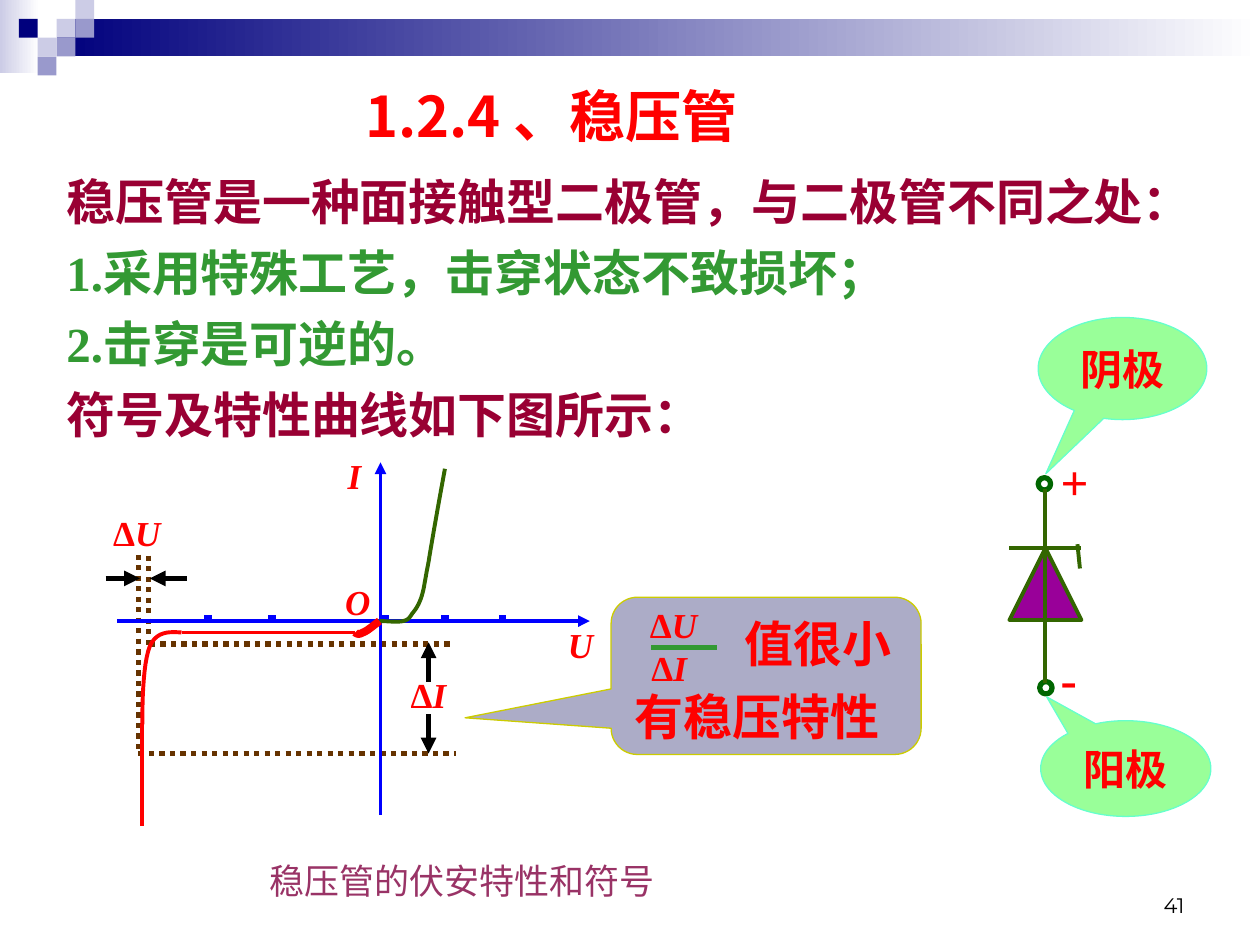
from lxml.etree import SubElement
from pptx import Presentation
from pptx.dml.color import RGBColor
from pptx.enum.dml import MSO_LINE
from pptx.enum.shapes import MSO_CONNECTOR, MSO_SHAPE
from pptx.enum.text import MSO_ANCHOR, PP_ALIGN
from pptx.oxml.ns import qn
from pptx.util import Cm, Pt

RED, MAROON, GREEN, OLIVE = "FF0000", "990033", "339933", "336600"
BLUE, BROWN, NAVY, LILAC, VIOLET = "0000FF", "663300", "00007D", "CCCCE6", "9999CC"


def paint(shape, fill=None, line=None, width=0.75):
    shape.shadow.inherit = False
    if fill:
        shape.fill.solid()
        shape.fill.fore_color.rgb = RGBColor.from_string(fill)
    else:
        shape.fill.background()
    if line:
        shape.line.color.rgb = RGBColor.from_string(line)
        shape.line.width = Pt(width)
    else:
        shape.line.fill.background()


def add_run(paragraph, text, color, **formats):
    run = paragraph.add_run()
    run.text = text
    run.font.color.rgb = RGBColor.from_string(color)
    values = {"name": "Times New Roman", "size": Pt(20), "bold": True} | formats
    for attribute, value in values.items():
        setattr(run.font, attribute, value)


presentation = Presentation()
presentation.slide_width, presentation.slide_height = Cm(25.4), Cm(19.05)
slide = presentation.slides.add_slide(presentation.slide_layouts[6])
shapes = slide.shapes

# Header: gradient bands
for left, top, width, height, color in [
    (0, 0, 0.79, 1.47, LILAC),
    (1.14, 0.38, 24.26, 0.76, NAVY),
]:
    band = shapes.add_shape(
        MSO_SHAPE.RECTANGLE, Cm(left), Cm(top), Cm(width), Cm(height))
    paint(band)
    band.fill.gradient()
    band.fill.gradient_angle = 0
    for stop, stop_color in zip(band.fill.gradient_stops, (color, "FFFFFF")):
        stop.color.rgb = RGBColor.from_string(stop_color)

# Header: squares on a grid of equal cells
cell = 0.38
for column, row, color in [
    (3, 1, LILAC), (4, 0, LILAC), (4, 1, VIOLET), (2, 2, LILAC),
    (1, 1, NAVY), (3, 2, VIOLET), (2, 3, VIOLET),
]:
    square = shapes.add_shape(
        MSO_SHAPE.RECTANGLE, Cm(column * cell), Cm(row * cell), Cm(cell), Cm(cell))
    paint(square, color)

# Callout behind the ratio
ratio_callout = shapes.add_shape(
    MSO_SHAPE.ROUNDED_RECTANGULAR_CALLOUT, Cm(12.32), Cm(12.04), Cm(6.25), Cm(3.17))
paint(ratio_callout, "666699", "CCCC00")
for index, value in enumerate((-0.971, 0.267, 0.167)):
    ratio_callout.adjustments[index] = value
fill_color = ratio_callout.element.spPr.find(qn("a:solidFill"))[0]
SubElement(fill_color, qn("a:alpha"), val="54000")

# Diode symbol: body and terminals
diode = shapes.add_shape(
    MSO_SHAPE.ISOSCELES_TRIANGLE, Cm(20.35), Cm(11.05), Cm(1.45), Cm(1.45))
paint(diode, "990099", OLIVE, 2.25)
for left, top in [(20.93, 9.63), (20.96, 13.74)]:
    terminal = shapes.add_shape(
        MSO_SHAPE.OVAL, Cm(left), Cm(top), Cm(0.25), Cm(0.25))
    paint(terminal, None, "006600", 3)

# Electrode callouts
for text, left, top, width, height, pointer in [
    ("阴极", 20.93, 6.4, 3.4, 2.06, (-0.455, 1.03)),
    ("阳极", 20.98, 14.53, 3.43, 1.93, (-0.465, -0.75)),
]:
    callout = shapes.add_shape(
        MSO_SHAPE.OVAL_CALLOUT, Cm(left), Cm(top), Cm(width), Cm(height))
    paint(callout, "99FF99", "66FFCC")
    callout.adjustments[0], callout.adjustments[1] = pointer
    callout.text_frame.vertical_anchor = MSO_ANCHOR.MIDDLE
    paragraph = callout.text_frame.paragraphs[0]
    paragraph.alignment = PP_ALIGN.CENTER
    add_run(paragraph, text, RED, size=Pt(24))

# Straight lines, grouped by style: color, width, dotted, arrow, end points
tick_positions = (4.19, 5.49, 7.77, 8.97, 10.13)
line_groups = [
    # Dotted guides
    (BROWN, 3, True, False, [
        (2.79, 11.18, 2.79, 15.19), (3, 11.2, 3, 13.06),
        (2.79, 15.19, 9.19, 15.19), (3.02, 12.98, 9.07, 12.98)]),
    # Measuring arrows
    ("000000", 3, False, True, [
        (2.13, 11.66, 2.82, 11.66), (3.76, 11.66, 3.02, 11.66),
        (8.64, 14.4, 8.64, 15.19), (8.64, 13.74, 8.64, 12.95)]),
    # Diode leads
    (OLIVE, 2.25, False, False, [
        (20.35, 11.05, 21.79, 11.05), (21.72, 10.97, 21.77, 11.46),
        (21.06, 9.86, 21.06, 13.77)]),
    # Axes and ticks
    (BLUE, 2.25, False, True, [
        (7.67, 16.43, 7.67, 9.32), (2.36, 12.52, 11.89, 12.52)]),
    (BLUE, 4.5, False, False, [(x, 12.4, x, 12.52) for x in tick_positions]),
    # Straight parts of the reverse curve
    (RED, 2.25, False, False, [
        (7.16, 12.75, 3.66, 12.75), (2.87, 14.6, 2.87, 16.66)]),
    # Fraction bar
    (GREEN, 3, False, False, [(13.13, 13.06, 14.45, 13.06)]),
]
for color, width, dotted, arrow, ends in line_groups:
    for end_points in ends:
        connector = shapes.add_connector(
            MSO_CONNECTOR.STRAIGHT, *[Cm(value) for value in end_points])
        connector.line.color.rgb = RGBColor.from_string(color)
        connector.line.width = Pt(width)
        if dotted:
            connector.line.dash_style = MSO_LINE.ROUND_DOT
        properties = connector.element.spPr
        if arrow:
            SubElement(properties.find(qn("a:ln")), qn("a:tailEnd"), type="triangle")
        SubElement(properties, qn("a:effectLst"))

# Curved parts: Bezier control points, three per segment after the start
curves = [
    (OLIVE, 2.25, [
        (7.65, 12.52), (7.82, 12.52), (8, 12.55), (8.13, 12.52),
        (8.23, 12.5), (8.26, 12.45), (8.31, 12.37),
        (8.38, 12.29), (8.46, 12.17), (8.51, 11.99),
        (8.56, 11.81), (8.56, 11.73), (8.64, 11.33),
        (8.71, 10.9), (8.84, 10.16), (8.97, 9.45)]),
    (RED, 4.5, [
        (7.65, 12.52), (7.52, 12.62), (7.39, 12.73), (7.32, 12.75),
        (7.24, 12.8), (7.19, 12.78), (7.16, 12.75)]),
    (RED, 2.25, [
        (3.66, 12.75), (3.4, 12.73), (3.15, 12.73), (3.02, 13.03),
        (2.9, 13.34), (2.87, 13.97), (2.87, 14.6)]),
]
steps = 10
for color, width, controls in curves:
    points = []
    for start in range(0, len(controls) - 1, 3):
        for step in range(1, steps + 1):
            t = step / steps
            weights = ((1 - t) ** 3, 3 * t * (1 - t) ** 2, 3 * t ** 2 * (1 - t), t ** 3)
            segment = zip(*controls[start:start + 4])
            points.append([
                Cm(sum(w * value for w, value in zip(weights, axis))) for axis in segment])
    builder = shapes.build_freeform(*[Cm(value) for value in controls[0]])
    builder.add_line_segments(points, close=False)
    paint(builder.convert_to_shape(), None, color, width)

# Texts: box, then paragraphs made of (text, color, formats) runs
italic = {"italic": True}
large = {"size": Pt(28)}
delta_u = [[("Δ", RED, {}), ("U", RED, italic)]]
delta_i = [[("Δ", RED, {}), ("I", RED, italic)]]
title_format = {"name": "Noto Sans CJK SC", "size": Pt(32)}
number_format = {"name": "Montserrat", "size": Pt(12), "bold": False}
texts = [
    ((5.31, 1.52, 11.63, 1.6), PP_ALIGN.CENTER, [[("1.2.4 、稳压管", RED, title_format)]]),
    ((1.09, 3.33, 25.3, 5.72), PP_ALIGN.LEFT, [
        [("稳压管是一种面接触型二极管，与二极管不同之处：", MAROON, large)],
        [("1.采用特殊工艺，击穿状态不致损坏；", GREEN, large)],
        [("2.击穿是可逆的。", GREEN, large)],
        [("符号及特性曲线如下图所示：", MAROON, large)]]),
    ((2.03, 10.19, 2.01, 1.09), PP_ALIGN.LEFT, delta_u),
    ((8.03, 13.46, 1.55, 1.09), PP_ALIGN.LEFT, delta_i),
    ((21.13, 8.97, 1.19, 1.45), PP_ALIGN.LEFT, [[("+", RED, large)]]),
    ((21.13, 12.95, 0.97, 1.45), PP_ALIGN.LEFT, [[("-", RED, large)]]),
    ((6.76, 9.04, 0.81, 1.09), PP_ALIGN.LEFT, [[("I", RED, italic)]]),
    ((11.2, 12.45, 1.04, 1.09), PP_ALIGN.LEFT, [[("U", RED, italic)]]),
    ((6.71, 11.58, 0.69, 1.09), PP_ALIGN.LEFT, [[("O", RED, italic)]]),
    ((5.18, 17.2, 13.13, 1.09), PP_ALIGN.LEFT, [
        [("稳压管的伏安特性和符号", "993366", {"bold": False})]]),
    ((12.85, 12.04, 2.64, 1.09), PP_ALIGN.LEFT, delta_u),
    ((12.88, 12.9, 2.31, 1.09), PP_ALIGN.LEFT, delta_i),
    ((14.76, 12.24, 3.66, 1.45), PP_ALIGN.LEFT, [[("值很小", RED, large)]]),
    ((12.55, 13.72, 5.92, 1.45), PP_ALIGN.LEFT, [[("有稳压特性", RED, large)]]),
    ((18.21, 17.35, 5.92, 1.27), PP_ALIGN.RIGHT, [[("41", "000000", number_format)]]),
]
for box, alignment, paragraphs in texts:
    frame = shapes.add_textbox(*[Cm(value) for value in box]).text_frame
    frame.word_wrap = True
    if alignment == PP_ALIGN.RIGHT:
        frame.vertical_anchor = MSO_ANCHOR.BOTTOM
    for index, runs in enumerate(paragraphs):
        paragraph = frame.add_paragraph() if index else frame.paragraphs[0]
        paragraph.alignment = alignment
        if index:
            paragraph.space_before = Pt(7)
        for text, color, formats in runs:
            add_run(paragraph, text, color, **formats)

presentation.save("out.pptx")
